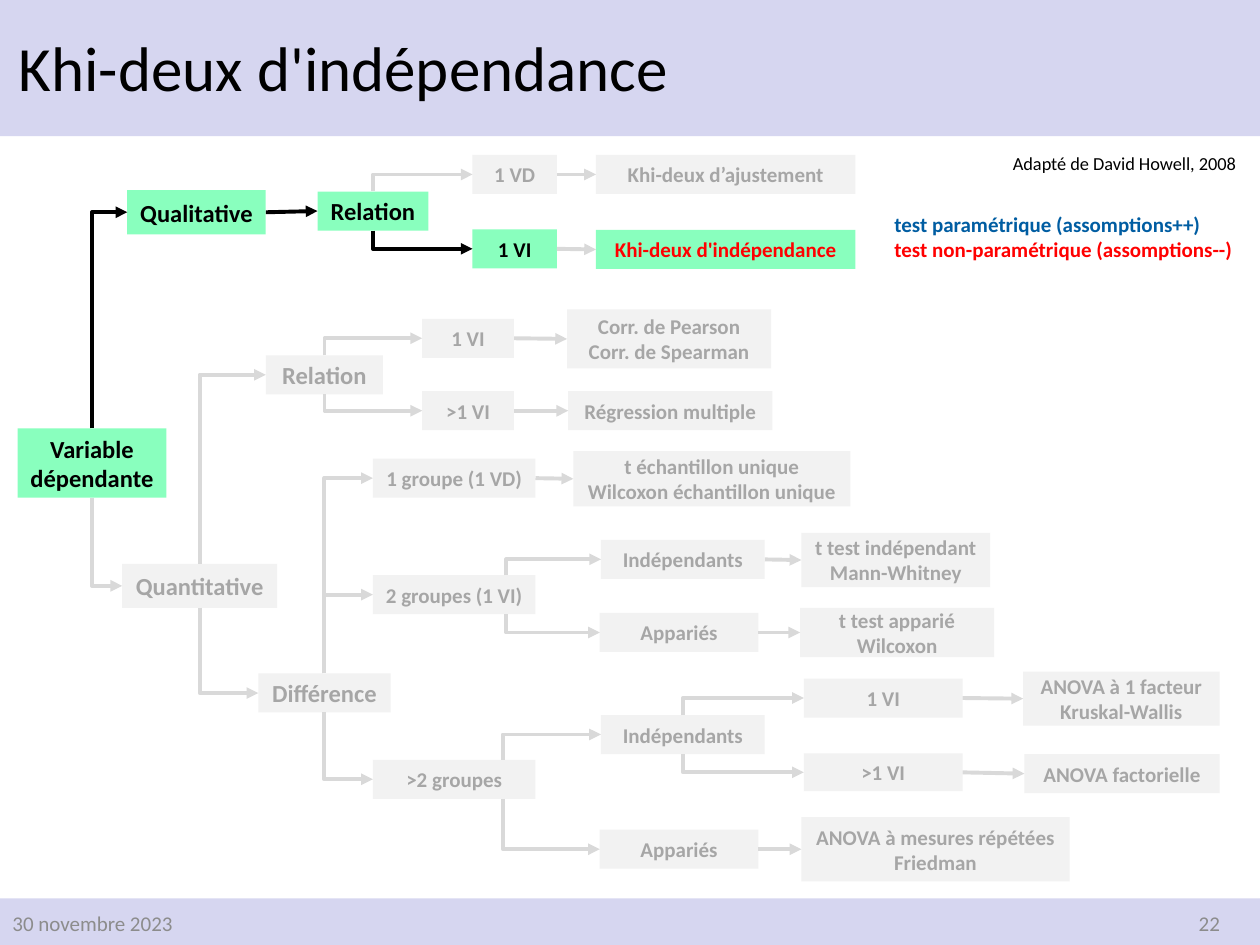
import pptx
import pptx.util
import pptx.dml.color
import pptx.enum.shapes
import pptx.enum.text
import pptx.oxml
import pptx.oxml.ns

HUES = {"bar": "D6D6F0", "mint": "89FFBE", "pale": "F2F2F2", "gray": "A6A6A6",
        "line": "D9D9D9", "foot": "8C8C8C", "black": "000000", "red": "FF0000",
        "blue": "005DA2"}

# The slide is a grid of 100 columns by 75 rows
COLS, ROWS = 100, 75
UNIT = pptx.util.Inches(0.1)
SHAPES = pptx.enum.shapes.MSO_SHAPE
LINKS = pptx.enum.shapes.MSO_CONNECTOR
ALIGN = pptx.enum.text.PP_ALIGN
MID = pptx.enum.text.MSO_ANCHOR.MIDDLE

# Boxes of the tree: left, middle row, width, height, text
NODES = {
    "var": (1.4, 25.75, 11.8, 5.5, "Variable dépendante"),
    "qual": (10.1, 5.85, 11, 3.5, "Qualitative"),
    "quant": (9.7, 35.5, 12.3, 3.5, "Quantitative"),
    "rel": (25.2, 5.75, 8.8, 3.1, "Relation"),
    "vd": (37.5, 2.85, 6.7, 3.1, "1 VD"),
    "vi": (37.5, 8.75, 6.7, 3.1, "1 VI"),
    "adjust": (47.3, 2.85, 20.6, 3.1, "Khi-deux d’ajustement"),
    "chi": (47.3, 8.8, 20.6, 3.1, "Khi-deux d'indépendance"),
    "link": (21.1, 18.75, 9.3, 3.1, "Relation"),
    "diff": (20.5, 44, 10.5, 3.1, "Différence"),
    "one": (33.5, 15.85, 7.3, 3.1, "1 VI"),
    "more": (33.5, 21.6, 7.3, 3.1, ">1 VI"),
    "corr": (45, 15.9, 16.2, 4.7, "Corr. de Pearson\vCorr. de Spearman"),
    "regress": (45.1, 21.6, 16.2, 3.1, "Régression multiple"),
    "group1": (29.6, 26.95, 12.9, 3.1, "1 groupe (1 VD)"),
    "group2": (29.6, 36.2, 12.9, 3.1, "2 groupes (1 VI)"),
    "group3": (29.6, 50.85, 12.9, 3.1, ">2 groupes"),
    "sample": (45.5, 27, 22, 4.4, "t échantillon unique\nWilcoxon échantillon unique"),
    "indep2": (47.7, 33.4, 13, 3.1, "Indépendants"),
    "pair2": (47.6, 39.2, 12.6, 3.1, "Appariés"),
    "ttest": (63.6, 33.45, 15, 4.3, "t test indépendant\vMann-Whitney"),
    "tpair": (63.5, 39.2, 15.4, 3.9, "t test apparié\vWilcoxon"),
    "indep3": (47.7, 47.3, 13, 3.1, "Indépendants"),
    "pair3": (47.6, 56.4, 12.6, 3.1, "Appariés"),
    "one3": (63.8, 44.4, 12.6, 3.1, "1 VI"),
    "more3": (63.8, 50.3, 12.6, 3, ">1 VI"),
    "anova": (81.2, 44.45, 15.6, 4.3, "ANOVA à 1 facteur\vKruskal-Wallis"),
    "factor": (81.3, 50.4, 15.5, 3.1, "ANOVA factorielle"),
    "repeat": (63.6, 56.4, 21.3, 5.1, "ANOVA à mesures répétées\vFriedman"),
}
BIG = {"var", "qual", "quant", "rel", "link", "diff"}
LIT = {"var", "qual", "rel", "vi", "chi"}

# Each parent: share of its width where the branch leaves, then its children
FORKS = {
    "var": (0.5, ["qual", "quant"]),
    "rel": (0.5, ["vd", "vi"]),
    "quant": (0.5, ["link", "diff"]),
    "link": (0.5, ["one", "more"]),
    "diff": (0.5, ["group1", "group2", "group3"]),
    "group2": (0.82, ["indep2", "pair2"]),
    "group3": (0.8, ["indep3", "pair3"]),
    "indep3": (0.5, ["one3", "more3"]),
}
STEPS = [("qual", "rel"), ("vd", "adjust"), ("vi", "chi"), ("one", "corr"),
         ("more", "regress"), ("group1", "sample"), ("indep2", "ttest"),
         ("pair2", "tpair"), ("one3", "anova"), ("more3", "factor"),
         ("pair3", "repeat")]
DARK = {("var", "qual"), ("qual", "rel"), ("rel", "vi")}


def rgb(name):
    return pptx.dml.color.RGBColor.from_string(HUES[name])


def grid(*nums):
    return [round(n * UNIT) for n in nums]


def write(frame, text, hues, size, bold=False, align=ALIGN.LEFT, **extra):
    for name, value in {"word_wrap": True, **extra}.items():
        setattr(frame, name, value)
    frame.text = text
    form = {"name": "Calibri", "size": pptx.util.Pt(size), "bold": bold}
    for para, hue in zip(frame.paragraphs, hues * len(frame.paragraphs)):
        para.alignment = align
        for run in para.runs:
            for name, value in form.items():
                setattr(run.font, name, value)
            run.font.color.rgb = rgb(hue)


def label(slide, box, text, hues, size, **form):
    frame = slide.shapes.add_textbox(*grid(*box)).text_frame
    write(frame, text, hues, size, **form)
    return frame


def block(slide, box, hue):
    shape = slide.shapes.add_shape(SHAPES.RECTANGLE, *grid(*box))
    shape.shadow.inherit = False
    shape.fill.solid()
    shape.fill.fore_color.rgb = rgb(hue)
    shape.line.fill.background()
    return shape


def arrow(slide, kind, ends, hue):
    line = slide.shapes.add_connector(kind, *grid(*ends))
    line.line.color.rgb = rgb(hue)
    line.line.width = pptx.util.Pt(2.25)
    tail = pptx.oxml.parse_xml(
        f'<a:tailEnd {pptx.oxml.ns.nsdecls("a")} type="triangle"/>')
    line.line._get_or_add_ln().append(tail)
    glow = pptx.oxml.parse_xml(f'<a:effectLst {pptx.oxml.ns.nsdecls("a")}/>')
    line._element.spPr.append(glow)
    return line


def bend(slide, x, y, right, end, hue):
    """Go from (x, y) up or down to row end, then across to column right."""
    midx, midy = (x + right) / 2, (y + end) / 2
    # The unturned frame has its width and height swapped
    wide, high = abs(end - y) / 2, (right - x) / 2
    down = end > y
    if not down:
        high = -high
    line = arrow(slide, LINKS.ELBOW,
                 (midx + wide, midy - high, midx - wide, midy + high), hue)
    props = line._element.spPr
    props.find(pptx.oxml.ns.qn("a:prstGeom")).set("prst", "bentConnector2")
    turn = 270 if down else 90
    props.find(pptx.oxml.ns.qn("a:xfrm")).set("rot", str(turn * 60000))


def header(slide, box):
    left, top, wide, high = box
    block(slide, box, "bar")
    frame = label(slide, (left + 0.5, top + 0.7, wide * 0.86, high - 0.9),
                  "Khi-deux d'indépendance", ["black"], 36, vertical_anchor=MID)
    frame.paragraphs[0].line_spacing = 0.9


def footer(slide, box):
    left, top, wide, high = box
    block(slide, box, "bar")
    for col, text, align in [(0, "30 novembre 2023", ALIGN.LEFT),
                             (75.3, "22", ALIGN.RIGHT)]:
        label(slide, (left + col, top, 22.5, 4), text, ["foot"], 12,
              align=align, vertical_anchor=MID)


def legend(slide, box):
    left, top, wide, high = box
    label(slide, (left + 9.4, top, 20.1, 2.8), "Adapté de David Howell, 2008",
          ["black"], 10.5, word_wrap=False)
    label(slide, (left, top + 4.7, wide, 5),
          "test paramétrique (assomptions++)\ntest non-paramétrique (assomptions--)",
          ["blue", "red"], 12, bold=True)


def tree(slide, box):
    x0, y0 = box[:2]
    made = {}
    # Boxes
    for key, (left, mid, wide, high, text) in NODES.items():
        place = (x0 + left, y0 + mid - high / 2, wide, high)
        made[key] = block(slide, place, "mint" if key in LIT else "pale")
        hue = "red" if key == "chi" else "black" if key in LIT else "gray"
        write(made[key].text_frame, text, [hue], 14 if key in BIG else 12,
              bold=True, align=ALIGN.CENTER, vertical_anchor=MID,
              margin_left=UNIT // 2, margin_right=UNIT // 2)
    # Branches
    for key, (share, kids) in FORKS.items():
        left, mid, wide, high, _ = NODES[key]
        for kid in kids:
            goal, row = NODES[kid][:2]
            side = high / 2 if row > mid else -high / 2
            bend(slide, x0 + left + wide * share, y0 + mid + side, x0 + goal,
                 y0 + row, "black" if (key, kid) in DARK else "line")
    # Straight steps
    for pair in STEPS:
        line = arrow(slide, LINKS.STRAIGHT, (0, 0, 1, 1),
                     "black" if pair in DARK else "line")
        line.begin_connect(made[pair[0]], 3)
        line.end_connect(made[pair[1]], 1)


def main():
    deck = pptx.Presentation()
    deck.slide_width, deck.slide_height = grid(COLS, ROWS)
    slide = deck.slides.add_slide(deck.slide_layouts[6])
    header(slide, (0, 0, COLS, 10.8))
    footer(slide, (0, 71.3, COLS, ROWS - 71.3))
    tree(slide, (0, 11, COLS, 60))
    legend(slide, (70, 11.6, 29.2, 9.7))
    deck.save("out.pptx")


if __name__ == "__main__":
    main()
